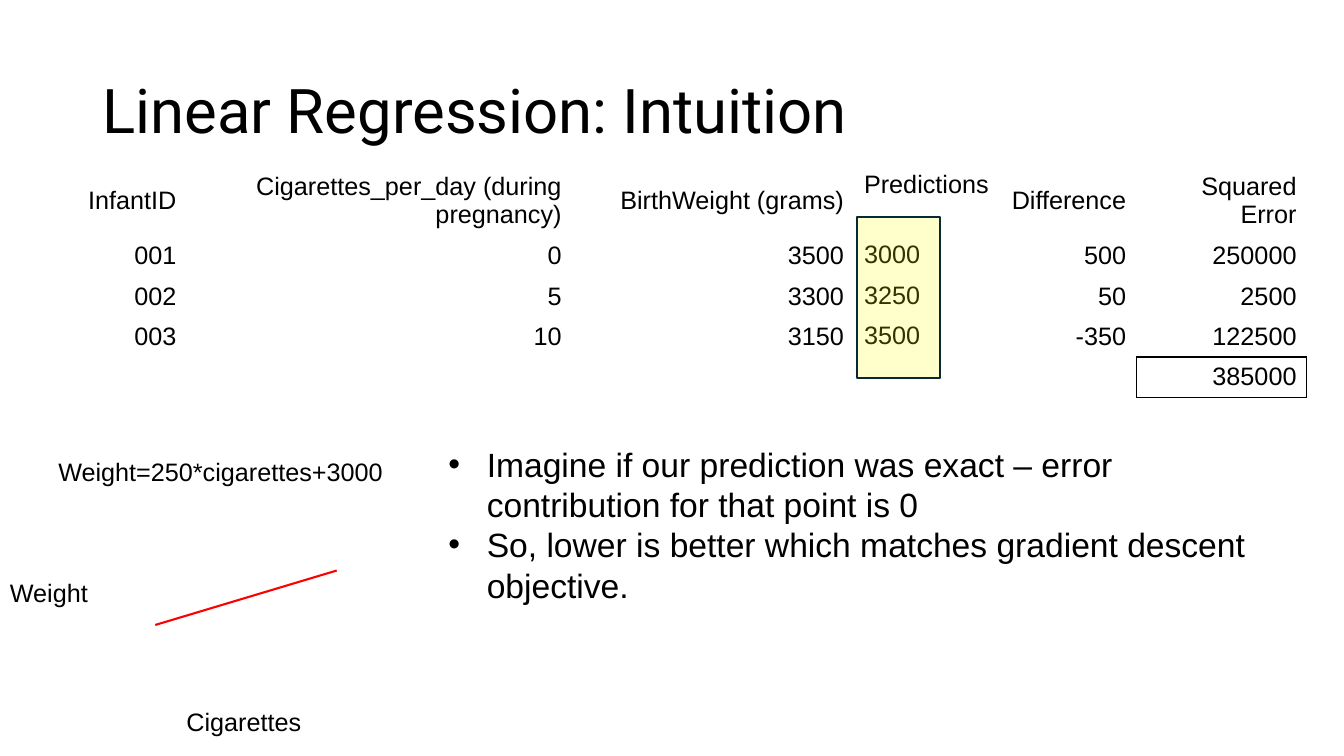
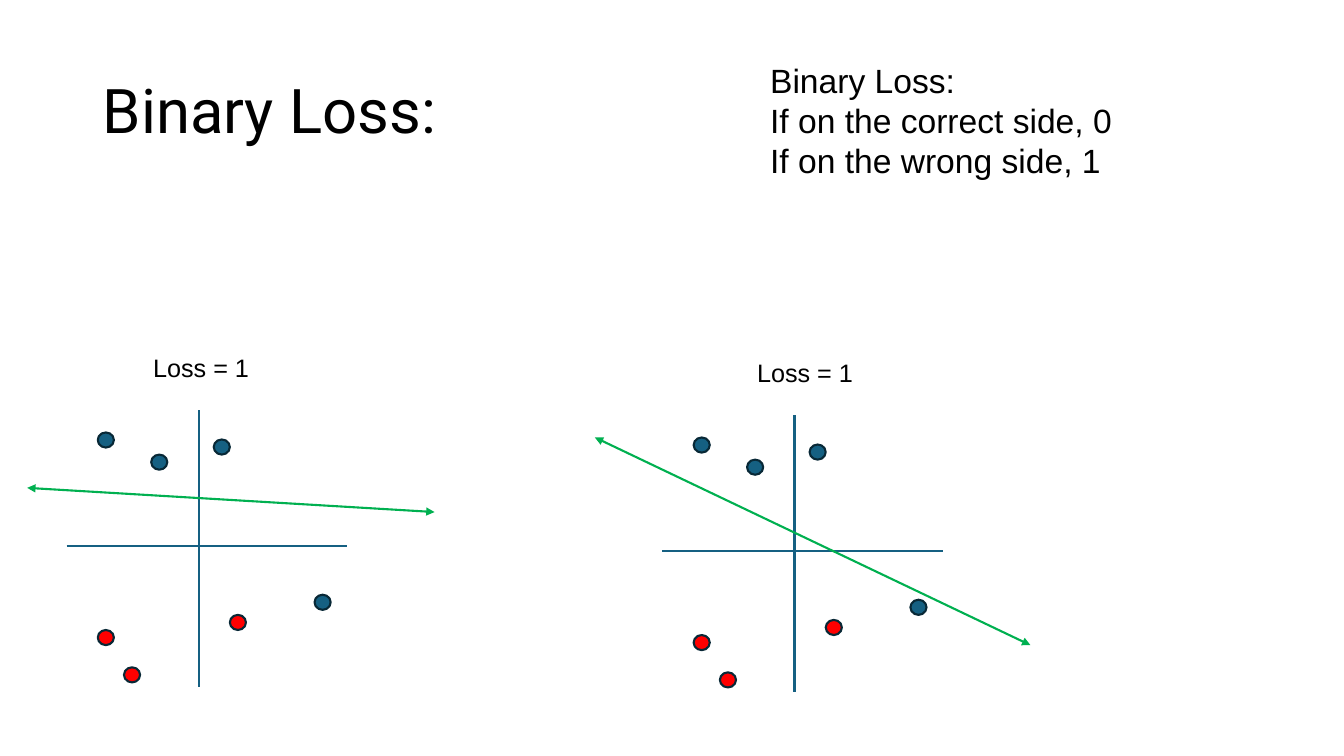
from lxml import etree
from pptx import Presentation
from pptx.dml.color import RGBColor
from pptx.enum.shapes import MSO_CONNECTOR, MSO_SHAPE
from pptx.enum.text import MSO_ANCHOR, PP_ALIGN
from pptx.oxml.ns import qn
from pptx.util import Inches, Pt

RECT, OVAL = MSO_SHAPE.RECTANGLE, MSO_SHAPE.OVAL
STRAIGHT = MSO_CONNECTOR.STRAIGHT
LEFT, RIGHT = PP_ALIGN.LEFT, PP_ALIGN.RIGHT
TOP, MIDDLE = MSO_ANCHOR.TOP, MSO_ANCHOR.MIDDLE

SLIDE_W, SLIDE_H = 13.33, 7.5
BLACK, RED, GREEN, BLUE = "000000", "FF0000", "00B050", "156082"
NAVY, YELLOW = "082836", "FFFF00"
LINE_WIDTH = 1.5
BODY = {"name": "Arial", "size": Pt(18)}
LARGE = {"name": "Arial", "size": Pt(24)}
TITLE = {"name": "Roboto", "size": Pt(44)}
TITLE_BOX = (0.92, 0.4, 11.5, 1.45)

COLUMNS = [1.85, 3.82, 2.8, 1.46, 1.34, 1.69]
ROW_HEIGHTS = [0.65] + [0.38] * 4
PREDICTION_COLUMN = 3
ROWS = [
    ["InfantID", "Cigarettes_per_day (during pregnancy)",
     "BirthWeight (grams)", "Predictions", "Difference", "Squared Error"],
    ["001", "0", "3500", "3000", "500", "250000"],
    ["002", "5", "3300", "3250", "50", "2500"],
    ["003", "10", "3150", "3500", "-350", "122500"],
    ["", "", "", "", "", "385000"],
]

# Offsets from the top left corner of a plot
PLOT_W, PLOT_H = 2.78, 2.75
AXIS_X, AXIS_Y = 1.31, 1.35
DOT_W, DOT_H = 0.16, 0.15
DOTS = {
    BLUE: [(0.84, 0.44), (1.46, 0.29), (0.31, 0.22), (2.46, 1.83)],
    RED: [(0.57, 2.55), (0.31, 2.18), (1.62, 2.03)],
}


def rgb(value):
    return RGBColor.from_string(value)


def style_font(font, style):
    for name, value in style.items():
        setattr(font, name, value)
    font.color.rgb = rgb(BLACK)


def add_bullet(p):
    pPr = p._p.get_or_add_pPr()
    pPr.set("marL", str(Inches(0.38)))
    pPr.set("indent", str(-Inches(0.38)))
    colour = etree.SubElement(pPr, qn("a:buClr"))
    etree.SubElement(colour, qn("a:srgbClr"), val=BLACK)
    etree.SubElement(pPr, qn("a:buFont"), typeface="Arial")
    etree.SubElement(pPr, qn("a:buChar"), char="•")


def add_text(s, box, lines, style=BODY, bullets=False, anchor=TOP, spacing=None):
    tf = s.shapes.add_textbox(*map(Inches, box)).text_frame
    tf.word_wrap = True
    tf.vertical_anchor = anchor
    for i, line in enumerate(lines):
        p = tf.paragraphs[0] if i == 0 else tf.add_paragraph()
        if spacing:
            p.line_spacing = spacing
        if bullets:
            add_bullet(p)
        r = p.add_run()
        r.text = line
        style_font(r.font, style)


def add_line(s, start, end, colour, arrows=False):
    line = s.shapes.add_connector(STRAIGHT, *map(Inches, (*start, *end)))
    line.line.color.rgb = rgb(colour)
    line.line.width = Pt(LINE_WIDTH)
    if arrows:
        ln = line.line._get_or_add_ln()
        for tag in ("a:headEnd", "a:tailEnd"):
            etree.SubElement(ln, qn(tag), type="triangle")
    etree.SubElement(line._element.spPr, qn("a:effectLst"))


def add_filled(s, kind, box, colour, opacity=None):
    shape = s.shapes.add_shape(kind, *map(Inches, box))
    shape.shadow.inherit = False
    shape.fill.solid()
    shape.fill.fore_color.rgb = rgb(colour)
    shape.line.color.rgb = rgb(NAVY)
    shape.line.width = Pt(LINE_WIDTH)
    if opacity:
        fill = shape._element.spPr.find(qn("a:solidFill"))
        etree.SubElement(fill[0], qn("a:alpha"), val=str(opacity * 1000))


def set_borders(cell, sides):
    """Draw thin black borders; sides are letters in the order L, R, T, B."""
    tcPr = cell._tc.get_or_add_tcPr()
    for side in reversed(sides):
        ln = etree.Element(qn(f"a:ln{side}"), w=str(Pt(1)))
        fill = etree.SubElement(ln, qn("a:solidFill"))
        etree.SubElement(fill, qn("a:srgbClr"), val=BLACK)
        tcPr.insert(0, ln)


def add_error_table(s, left, top):
    box = (left, top, sum(COLUMNS), sum(ROW_HEIGHTS))
    table = s.shapes.add_table(len(ROWS), len(COLUMNS), *map(Inches, box)).table
    table.first_row = table.horz_banding = False
    for column, width in zip(table.columns, COLUMNS):
        column.width = Inches(width)
    for row, height, texts in zip(table.rows, ROW_HEIGHTS, ROWS):
        row.height = Inches(height)
        for i, (cell, text) in enumerate(zip(row.cells, texts)):
            prediction = i == PREDICTION_COLUMN
            cell.fill.background()
            cell.vertical_anchor = TOP if prediction else MIDDLE
            p = cell.text_frame.paragraphs[0]
            p.alignment = LEFT if prediction else RIGHT
            if text:
                r = p.add_run()
                r.text = text
                style_font(r.font, BODY)
    last_row, last_column = len(ROWS) - 1, len(COLUMNS) - 1
    set_borders(table.cell(last_row, last_column), "LRTB")
    set_borders(table.cell(last_row - 1, last_column), "B")
    set_borders(table.cell(last_row, last_column - 1), "R")


def add_weight_sketch(s, left, top):
    add_line(s, (left + 3.34, top + 1.18), (left + 1.54, top + 1.72), RED)
    for dx, dy, width, text in (
        (1.75, 2.48, 1.95, "Cigarettes"),
        (0, 1.2, 1.95, "Weight"),
        (0.48, 0, 4.14, "Weight=250*cigarettes+3000"),
    ):
        add_text(s, (left + dx, top + dy, width, 0.4), [text])


def add_loss_plot(s, left, top, label_dx, start, end):
    """Draw a plot whose separating line runs between two offsets."""
    def at(dx, dy):
        return left + dx, top + dy

    add_line(s, at(AXIS_X, 0), at(AXIS_X, PLOT_H), BLUE)
    add_line(s, at(0, AXIS_Y), at(PLOT_W, AXIS_Y), BLUE)
    for colour, dots in DOTS.items():
        for dot in dots:
            add_filled(s, OVAL, (*at(*dot), DOT_W, DOT_H), colour)
    add_line(s, at(*start), at(*end), GREEN, arrows=True)
    add_text(s, (*at(label_dx, -0.62), 2.88, 0.4), ["Loss = 1"])


def new_slide(prs, title):
    s = prs.slides.add_slide(prs.slide_layouts[6])
    add_text(s, TITLE_BOX, [title], TITLE, anchor=MIDDLE, spacing=0.9)
    return s


def build_regression(prs):
    s = new_slide(prs, "Linear Regression: Intuition")
    add_error_table(s, 0, 1.64)
    add_weight_sketch(s, 0, 4.48)
    add_text(s, (4.35, 4.35, 8.5, 1.72), [
        "Imagine if our prediction was exact – error contribution for that point is 0",
        "So, lower is better which matches gradient descent objective.",
    ], LARGE, bullets=True)
    add_filled(s, RECT, (8.5, 2.15, 0.82, 1.6), YELLOW, opacity=20)


def build_binary_loss(prs):
    s = new_slide(prs, "Binary Loss:")
    add_text(s, (7.54, 0.54, 4.7, 1.31), [
        "Binary Loss:", "If on the correct side, 0", "If on the wrong side, 1",
    ], LARGE)
    add_loss_plot(s, 0.66, 4.07, 0.76, (-0.39, 0.77), (3.65, 1.01))
    add_loss_plot(s, 6.57, 4.12, 0.84, (-0.67, 0.22), (3.65, 2.28))


def main():
    prs = Presentation()
    prs.slide_width, prs.slide_height = Inches(SLIDE_W), Inches(SLIDE_H)
    build_regression(prs)
    build_binary_loss(prs)
    prs.save("out.pptx")


if __name__ == "__main__":
    main()
